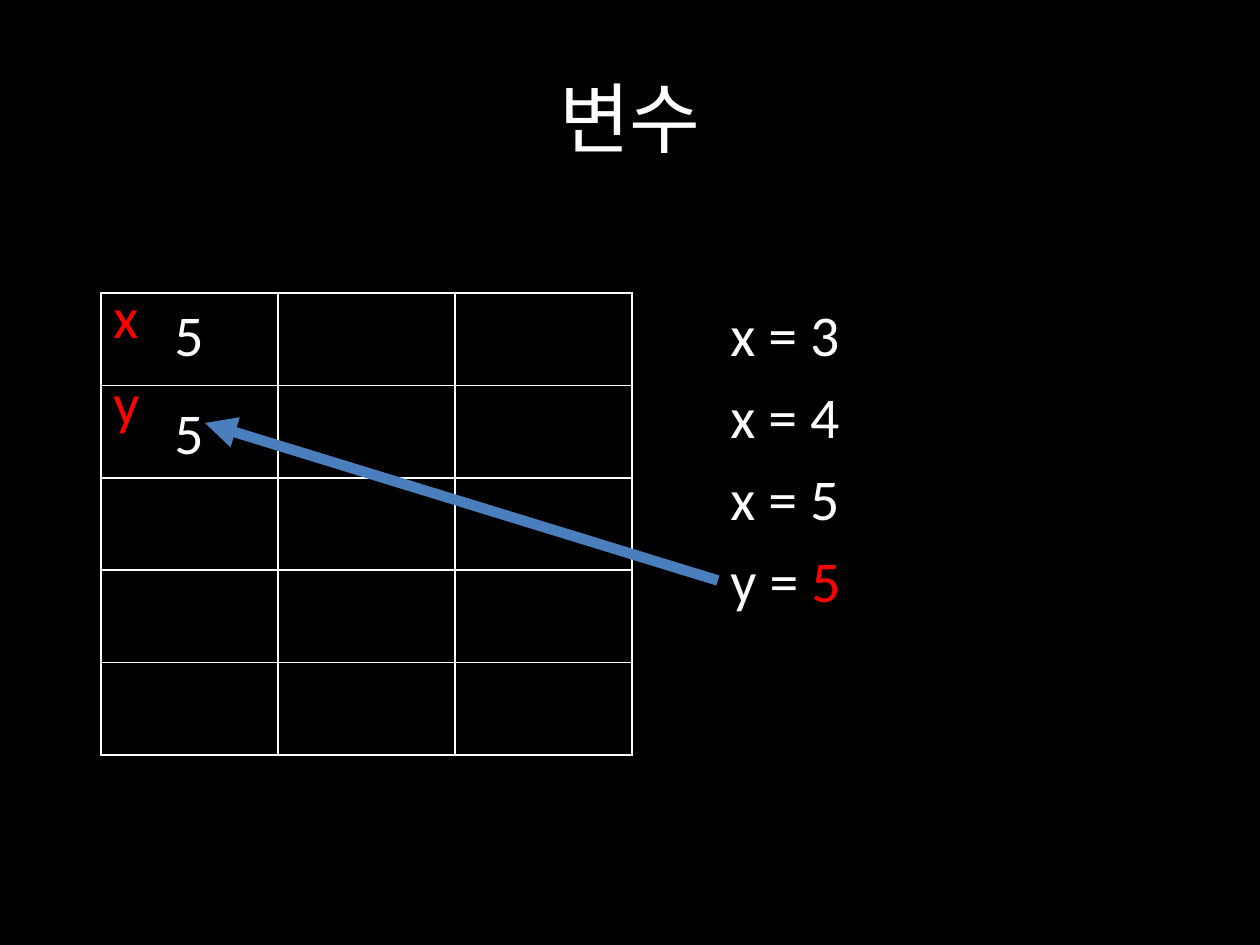
from lxml import etree
from pptx import Presentation
from pptx import util as u
from pptx.dml.color import RGBColor
from pptx.enum import shapes, text
from pptx.oxml import ns

COLORS = {"background": "000000", "text": "FFFFFF", "accent": "FF0000", "arrow": "4B7EBC"}
SCALE = u.Inches(1) / 126


def px(*lengths):
    return [u.Emu(round(length * SCALE)) for length in lengths]


def rgb(name):
    return RGBColor.from_string(COLORS[name])


class Board:
    font_name = "Calibri"
    title_size = 44
    text_size = 33

    def __init__(self, slide):
        self.slide = slide
        fill = slide.background.fill
        fill.solid()
        fill.fore_color.rgb = rgb("background")

    def style(self, paragraph, size, color):
        paragraph.font.name = self.font_name
        paragraph.font.size = u.Pt(size)
        paragraph.font.color.rgb = rgb(color)

    def title(self, words, left, top, width, height):
        shape = self.slide.shapes.title
        shape.left, shape.top, shape.width, shape.height = px(left, top, width, height)
        frame = shape.text_frame
        frame.text = words
        frame.vertical_anchor = text.MSO_ANCHOR.MIDDLE
        paragraph = frame.paragraphs[0]
        paragraph.alignment = text.PP_ALIGN.CENTER
        self.style(paragraph, self.title_size, "text")

    def label(self, words, left, top, width, height=83, color="text", accent="", wrap=False):
        shape = self.slide.shapes.add_textbox(*px(left, top, width, height))
        frame = shape.text_frame
        frame.word_wrap = wrap
        frame.auto_size = text.MSO_AUTO_SIZE.SHAPE_TO_FIT_TEXT
        paragraph = frame.paragraphs[0]
        self.style(paragraph, self.text_size, color)
        paragraph.add_run().text = words
        if accent:
            run = paragraph.add_run()
            run.text = accent
            run.font.color.rgb = rgb("accent")
        return shape

    def grid(self, rows, columns, left, top, width, height):
        table = self.slide.shapes.add_table(rows, columns, *px(left, top, width, height)).table
        table.first_row = table.horz_banding = False
        for cell in table.iter_cells():
            properties = cell._tc.get_or_add_tcPr()
            for side in ("lnL", "lnR", "lnT", "lnB"):
                border = etree.SubElement(properties, ns.qn(f"a:{side}"), w=str(u.Pt(1)))
                fill = etree.SubElement(border, ns.qn("a:solidFill"))
                etree.SubElement(fill, ns.qn("a:srgbClr"), val=COLORS["text"])
            cell.fill.background()

    def arrow(self, source, left, top):
        start = px(source.left / SCALE, (source.top + source.height / 2) / SCALE)
        connector = self.slide.shapes.add_connector(
            shapes.MSO_CONNECTOR.STRAIGHT, *start, *px(left, top))
        connector.begin_connect(source, 1)
        connector.line.color.rgb = rgb("arrow")
        connector.line.width = u.Pt(6)
        etree.SubElement(connector.line._get_or_add_ln(), ns.qn("a:tailEnd"), type="triangle")
        etree.SubElement(connector._element.spPr, ns.qn("a:effectLst"))


def main():
    presentation = Presentation()
    presentation.slide_width, presentation.slide_height = px(1260, 945)
    board = Board(presentation.slides.add_slide(presentation.slide_layouts[5]))

    board.title("변수", 63, 38, 1134, 157)
    board.grid(5, 3, 101, 293, 531, 462)

    statements = [("x = 3", ""), ("x = 4", ""), ("x = 5", ""), ("y = ", "5")]
    for index, (words, accent) in enumerate(statements):
        statement = board.label(words, 718, 293 + 82 * index, 136, accent=accent)

    for name, name_top, value_top in (("x", 275, 293), ("y", 361, 391)):
        board.label(name, 101, name_top, 51, color="accent")
        board.label("5", 162, value_top, 59, wrap=True)

    board.arrow(statement, 205, 423)
    presentation.save("out.pptx")


if __name__ == "__main__":
    main()
